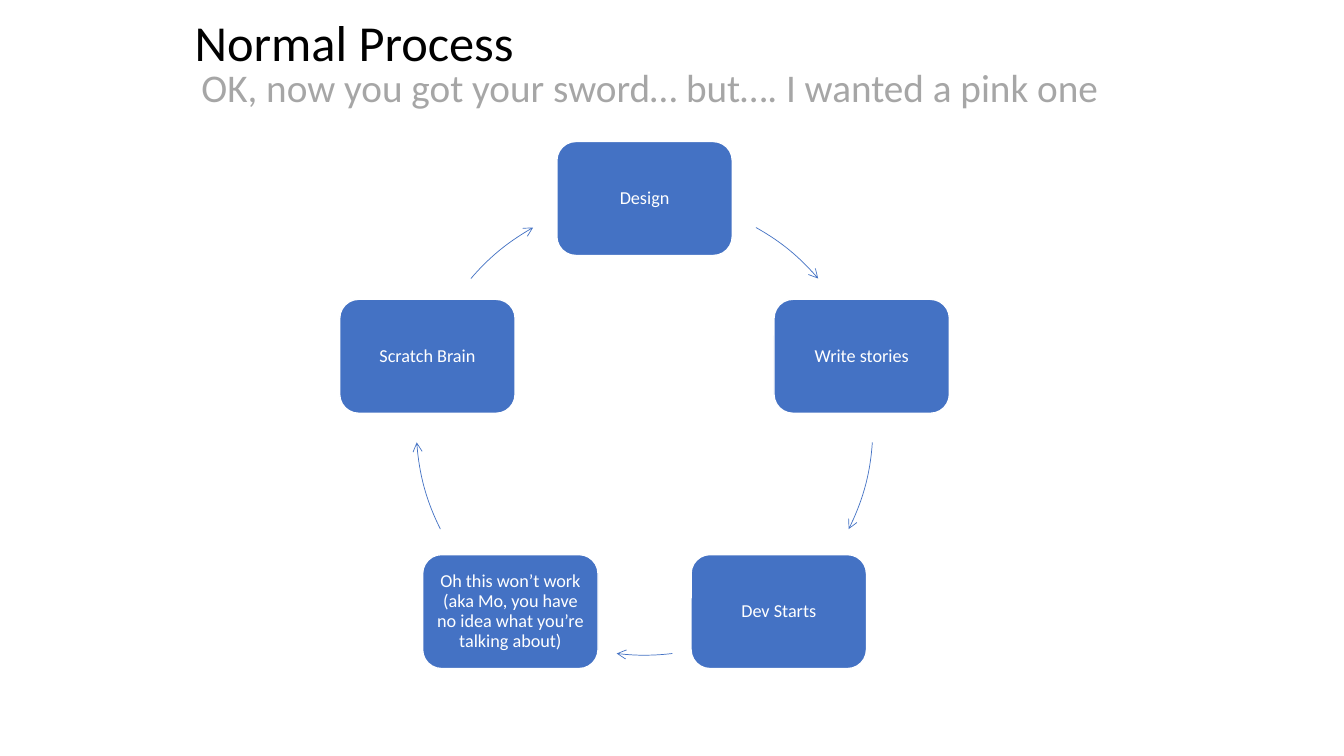
import math

from lxml import etree
from pptx import Presentation
from pptx.dml.color import RGBColor
from pptx.enum import shapes, text
from pptx.oxml.ns import qn
from pptx.util import Pt

BLUE, WHITE, BLACK, GREY = "4472C4", "FFFFFF", "000000", "A6A6A6"
CENTRE_X, CENTRE_Y, RADIUS = 460.44, 304.92, 163.1
STEP_WIDTH, STEP_HEIGHT = 125.3, 81.4

# Each step with the clockwise angles from the top where its arrow starts and ends
STEPS = [
    ("Design", 29.2, 49.5),
    ("Write stories", 93.9, 116.6),
    ("Dev Starts", 173, 187),
    ("Oh this won’t work (aka Mo, you have no idea what you’re talking about)",
     243.4, 266.1),
    ("Scratch Brain", 310.5, 330.8),
]


def colour(hex_string):
    return RGBColor.from_string(hex_string)


def write(frame, words, *, size, hue, align=text.PP_ALIGN.LEFT, spacing=1.0,
          anchor=text.MSO_ANCHOR.MIDDLE, wrap=True):
    frame.word_wrap = wrap
    frame.vertical_anchor = anchor
    paragraph = frame.paragraphs[0]
    paragraph.text = words
    paragraph.alignment = align
    paragraph.line_spacing = spacing
    font = paragraph.runs[0].font
    font.name, font.size = "Calibri", Pt(size)
    font.color.rgb = colour(hue)


def add_title(slide, words):
    title = slide.shapes.title
    title.left, title.top, title.width, title.height = map(Pt, (131.8, 7.9, 653, 48.2))
    write(title.text_frame, words, size=36, hue=BLACK, spacing=0.9)


def add_subtitle(slide, words):
    subtitle = slide.shapes.add_textbox(*map(Pt, (136.8, 41.8, 657.4, 41)))
    write(subtitle.text_frame, words, size=28, hue=GREY,
          anchor=text.MSO_ANCHOR.TOP, wrap=False)
    subtitle.text_frame.auto_size = text.MSO_AUTO_SIZE.SHAPE_TO_FIT_TEXT


def add_step(slide, words, angle):
    """Place a rounded box on the cycle, at an angle clockwise from the top."""
    x = CENTRE_X + RADIUS * math.sin(math.radians(angle))
    y = CENTRE_Y - RADIUS * math.cos(math.radians(angle))
    step = slide.shapes.add_shape(
        shapes.MSO_SHAPE.ROUNDED_RECTANGLE,
        Pt(x - STEP_WIDTH / 2), Pt(y - STEP_HEIGHT / 2), Pt(STEP_WIDTH), Pt(STEP_HEIGHT))
    step.shadow.inherit = False
    step.fill.solid()
    step.fill.fore_color.rgb = colour(BLUE)
    step.line.color.rgb = colour(WHITE)
    step.line.width = Pt(1)
    frame = step.text_frame
    frame.margin_left = frame.margin_right = Pt(3.9)
    frame.margin_top = frame.margin_bottom = Pt(3.9)
    write(frame, words, size=13, hue=WHITE, align=text.PP_ALIGN.CENTER, spacing=0.9)


def add_cycle_arrow(slide, start, end):
    """Draw an arc of the cycle between two angles clockwise from the top."""
    arrow = slide.shapes.add_shape(
        shapes.MSO_SHAPE.ARC, Pt(CENTRE_X - RADIUS), Pt(CENTRE_Y - RADIUS),
        Pt(2 * RADIUS), Pt(2 * RADIUS))
    for index, angle in enumerate((start, end)):
        # Preset angles run from the right, in 60000ths; adjustments scale by 100000
        arrow.adjustments[index] = (angle - 90) % 360 * 0.6
    arrow.shadow.inherit = False
    arrow.fill.background()
    arrow.line.color.rgb = colour(BLUE)
    arrow.line.width = Pt(0.5)
    etree.SubElement(arrow.element.spPr.get_or_add_ln(), qn("a:tailEnd"), type="arrow")


def main():
    deck = Presentation()
    deck.slide_width, deck.slide_height = Pt(960), Pt(540)
    slide = deck.slides.add_slide(deck.slide_layouts.get_by_name("Title Only"))
    add_title(slide, "Normal Process")
    add_subtitle(slide, "OK, now you got your sword… but…. I wanted a pink one")
    for index, (words, start, end) in enumerate(STEPS):
        add_step(slide, words, index * 360 / len(STEPS))
        add_cycle_arrow(slide, start, end)
    deck.save("out.pptx")


if __name__ == "__main__":
    main()
